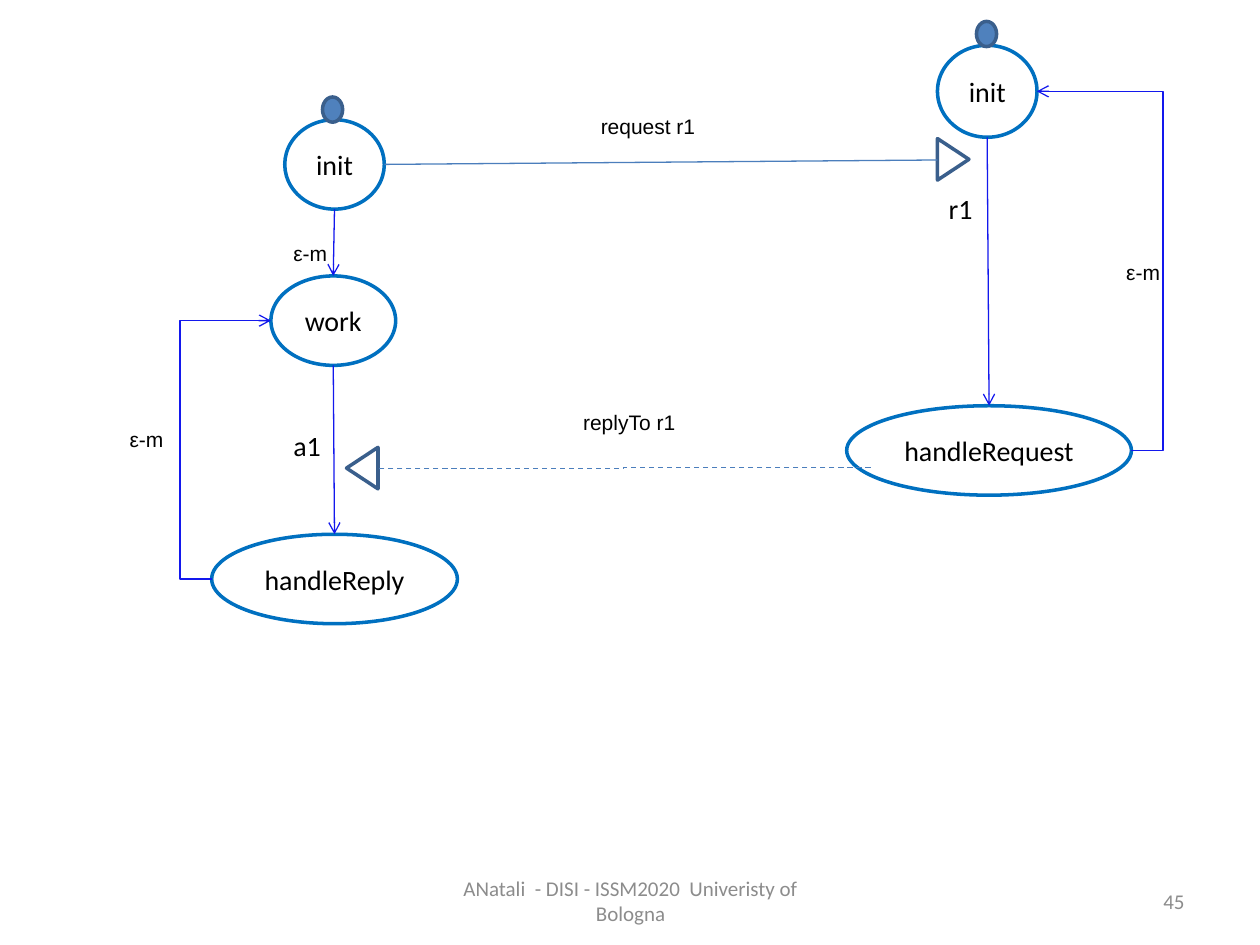
from lxml.etree import SubElement
from pptx import Presentation
from pptx.dml.color import RGBColor
from pptx.enum.dml import MSO_LINE
from pptx.enum.shapes import MSO_CONNECTOR, MSO_SHAPE
from pptx.enum.text import MSO_ANCHOR, PP_ALIGN
from pptx.oxml.ns import qn
from pptx.util import Inches, Pt

WHITE = RGBColor(0xFF, 0xFF, 0xFF)
BLACK = RGBColor(0x00, 0x00, 0x00)
GRAY = RGBColor(0x8C, 0x8C, 0x8C)
STATE_BLUE = RGBColor(0x00, 0x70, 0xC0)
MARK_BLUE = RGBColor(0x4F, 0x81, 0xBD)
MARK_EDGE = RGBColor(0x3A, 0x5F, 0x8C)
MESSAGE_BLUE = RGBColor(0x4B, 0x7E, 0xBC)
FLOW_BLUE = RGBColor(0x13, 0x18, 0xED)

COLS, ROWS = 100, 75  # grid over the slide


class Diagram:
    """Draws state diagram elements; lengths are grid columns and rows."""

    def __init__(self, prs):
        self.slide = prs.slides.add_slide(prs.slide_layouts[6])
        self.col = prs.slide_width / COLS
        self.row = prs.slide_height / ROWS

    def place(self, *lengths):
        units = (self.col, self.row) * 2
        return [round(n * unit) for n, unit in zip(lengths, units)]

    def set_text(self, tf, text, size, font, color, align):
        tf.text = text
        p = tf.paragraphs[0]
        p.alignment = align
        f = p.runs[0].font
        f.size, f.name, f.color.rgb = Pt(size), font, color

    def shape(self, kind, box, fill, edge, rotation=0):
        sp = self.slide.shapes.add_shape(kind, *self.place(*box))
        sp.shadow.inherit = False
        sp.fill.solid()
        sp.fill.fore_color.rgb = fill
        sp.line.color.rgb = edge
        sp.line.width = Pt(2)
        sp.rotation = rotation
        return sp

    def state(self, name, *box):
        """Draw a state and return its left, top, right and bottom points."""
        sp = self.shape(MSO_SHAPE.OVAL, box, WHITE, STATE_BLUE)
        tf = sp.text_frame
        tf.word_wrap = False
        tf.vertical_anchor = MSO_ANCHOR.MIDDLE
        self.set_text(tf, name, 16, "Calibri", BLACK, PP_ALIGN.CENTER)
        x, y, w, h = box
        return {"left": (x, y + h / 2), "top": (x + w / 2, y),
                "right": (x + w, y + h / 2), "bottom": (x + w / 2, y + h)}

    def start_mark(self, x, y):
        self.shape(MSO_SHAPE.OVAL, (x, y, 1.6, 2), MARK_BLUE, MARK_EDGE)

    def receiver(self, x, y, rotation):
        self.shape(MSO_SHAPE.ISOSCELES_TRIANGLE, (x, y, 3.3, 2.5),
                   WHITE, MARK_EDGE, rotation)

    def text(self, text, *box, size=12, font="Arial", color=BLACK,
             align=PP_ALIGN.LEFT, anchor=MSO_ANCHOR.TOP, wrap=False):
        tf = self.slide.shapes.add_textbox(*self.place(*box)).text_frame
        tf.word_wrap = wrap
        tf.vertical_anchor = anchor
        self.set_text(tf, text, size, font, color, align)

    def line(self, start, end, color, lane=None, arrow=False, dash=False):
        """Connect two points; a lane is the column of an elbow's middle leg."""
        kind = MSO_CONNECTOR.STRAIGHT if lane is None else MSO_CONNECTOR.ELBOW
        cx = self.slide.shapes.add_connector(kind, *self.place(*start, *end))
        cx.line.color.rgb = color
        cx.line.width = Pt(0.75)
        if dash:
            cx.line.dash_style = MSO_LINE.DASH
        sp_pr = cx._element.spPr
        if lane is not None:
            share = (lane - start[0]) / (end[0] - start[0])
            guides = sp_pr.find(qn("a:prstGeom")).get_or_add_avLst()
            SubElement(guides, qn("a:gd"), name="adj1",
                       fmla=f"val {round(share * 100000)}")
        if arrow:
            SubElement(sp_pr.find(qn("a:ln")), qn("a:tailEnd"), type="arrow")
        SubElement(sp_pr, qn("a:effectLst"))

    def flow(self, start, end, lane=None):
        self.line(start, end, FLOW_BLUE, lane, arrow=True)


def main():
    prs = Presentation()
    prs.slide_width, prs.slide_height = Inches(10), Inches(7.5)
    d = Diagram(prs)

    # Footer and slide number
    footer = dict(font="Calibri", color=GRAY, anchor=MSO_ANCHOR.MIDDLE, wrap=True)
    d.text("ANatali  - DISI - ISSM2020  Univeristy of Bologna",
           34.2, 69.5, 31.7, 4, align=PP_ALIGN.CENTER, **footer)
    d.text("45", 71.7, 69.5, 23.3, 4, align=PP_ALIGN.RIGHT, **footer)

    # Caller states
    caller_init = d.state("init", 22.6, 9.5, 7.9, 7.1)
    d.start_mark(25.6, 7.7)
    work = d.state("work", 21.5, 21.9, 9.9, 7.1)
    handle_reply = d.state("handleReply", 16.8, 42.4, 19.5, 7.1)

    # Called states
    called_init = d.state("init", 74.4, 3.6, 7.9, 7.3)
    d.start_mark(77.5, 1.7)
    handle_request = d.state("handleRequest", 67.2, 32.2, 22.6, 7.1)

    # Messages
    d.receiver(74, 11.4, 90)
    d.line(caller_init["right"], (74.4, 12.7), MESSAGE_BLUE)
    d.receiver(27.1, 35.9, 270)
    d.line((69.1, 37.1), (30, 37.2), MESSAGE_BLUE, lane=49.5, dash=True)

    # Transitions
    d.flow(caller_init["bottom"], work["top"])
    d.flow(work["bottom"], handle_reply["top"])
    d.flow(called_init["bottom"], handle_request["top"])
    d.flow(handle_request["right"], called_init["right"], lane=92.3)
    d.flow(handle_reply["left"], work["left"], lane=14.3)

    # Labels
    for x, y in ((22.3, 18.6), (9.3, 33.4), (88.4, 20.1)):
        d.text("ε-m", x, y, 4.7, 3)
    d.text("request r1", 46.7, 8.5, 9.6, 3)
    d.text("replyTo r1", 45.3, 32, 9.4, 3)
    d.text("r1", 74.3, 14.7, 3.9, 3.7, size=16, font="Calibri")
    d.text("a1", 22.3, 33.5, 4.2, 3.7, size=16, font="Calibri")

    prs.save("out.pptx")


if __name__ == "__main__":
    main()
